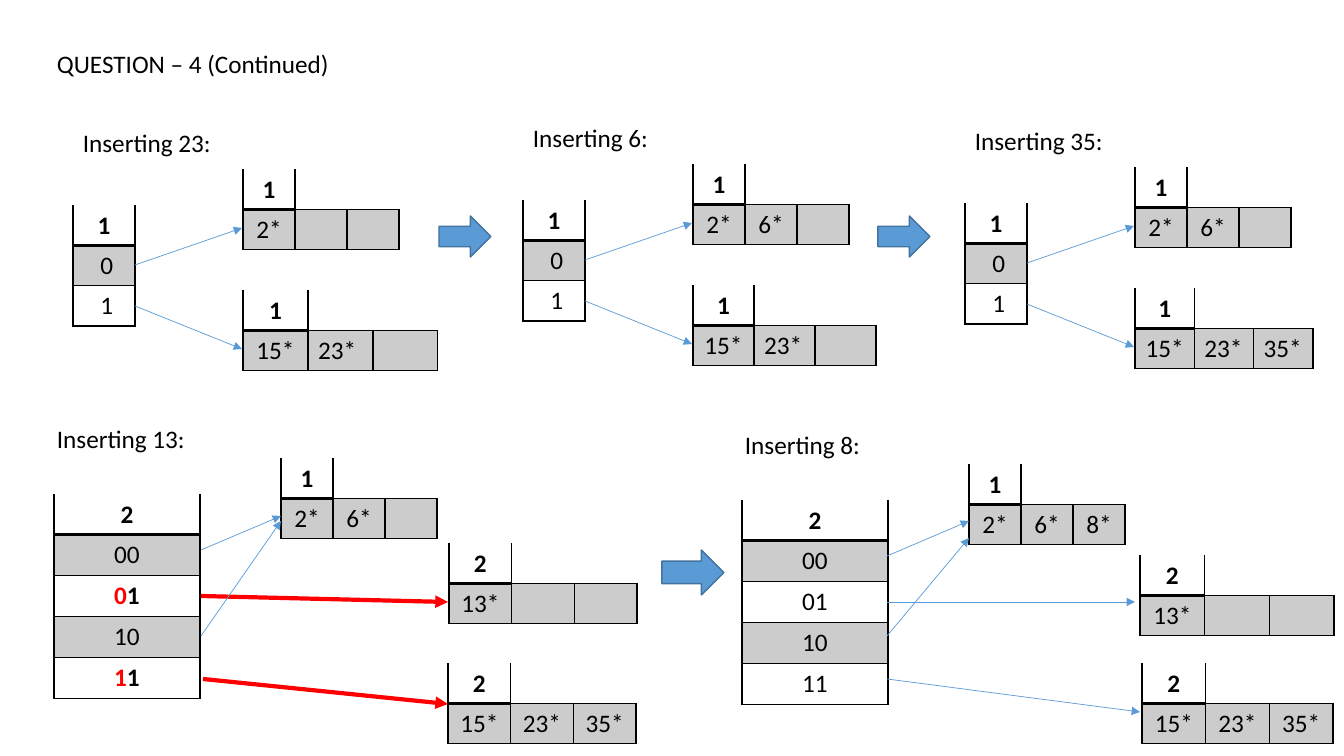
from dataclasses import dataclass
from typing import NamedTuple

from lxml.etree import SubElement as Sub
from pptx import Presentation as Deck
from pptx.dml.color import RGBColor as Rgb
from pptx.enum.shapes import MSO_CONNECTOR as Conn, MSO_SHAPE as Kind
from pptx.enum.text import PP_ALIGN as Align
from pptx.oxml.ns import qn
from pptx.util import Pt

SCALE = 12192000 / 1344  # EMU per pixel
ROW = 40
COLORS = {"ink": "000000", "gray": "CCCCCC", "blue": "5B9BD5",
          "edge": "43739E", "red": "FF0000"}


class Run(NamedTuple):
    text: str
    bold: bool = False
    color: str = "ink"


class Label(NamedTuple):
    text: str
    x: int
    y: int
    width: int
    wrap: bool = False


class Link(NamedTuple):
    x1: int
    y1: int
    x2: int
    y2: int
    color: str = "blue"
    weight: float = 0.5


class Block(NamedTuple):
    x: int
    y: int
    width: int
    height: int


@dataclass
class Grid:
    x: int
    y: int
    width: int
    depth: str
    rows: list[list[list[Run]]]
    step: int = ROW
    left: bool = False  # left-align all but the first column


def px(count: float) -> int:
    return round(count * SCALE)


def rgb(name: str) -> Rgb:
    return Rgb.from_string(COLORS[name])


def folder(x: int, y: int, width: int, depth: str, keys: list[list[Run]],
           step: int = ROW) -> Grid:
    return Grid(x, y, width, depth, [[key] for key in keys], step)


def bucket(x: int, y: int, width: int, depth: str, items: str,
           left: bool = False) -> Grid:
    cells = [[Run(item)] for item in items.split()]
    cells += [[] for _ in range(3 - len(cells))]
    return Grid(x, y, width, depth, [cells], left=left)


def write(para, runs: list[Run]) -> None:
    for part in runs:
        run = para.add_run()
        run.text = part.text
        font = run.font
        font.name, font.size, font.bold = "Calibri", Pt(18), part.bold
        font.color.rgb = rgb(part.color)


def add_label(label: Label) -> None:
    box = shapes.add_textbox(px(label.x), px(label.y), px(label.width), px(ROW))
    box.text_frame.word_wrap = label.wrap
    write(box.text_frame.paragraphs[0], [Run(label.text)])


def set_edges(cell, widths: tuple[int, int, int, int]) -> None:
    props = cell._tc.get_or_add_tcPr()
    for spot, (side, width) in enumerate(zip("LRTB", widths)):
        line = Sub(props, qn(f"a:ln{side}"), w=str(Pt(width)))
        if width:
            fill = Sub(line, qn("a:solidFill"))
            Sub(fill, qn("a:srgbClr"), val=COLORS["ink"])
        else:
            Sub(line, qn("a:noFill"))
        props.insert(spot, line)


def add_grid(grid: Grid) -> None:
    count = len(grid.rows[0])
    head = [[Run(grid.depth, True)]] + [[] for _ in range(count - 1)]
    rows = [head] + grid.rows
    table = shapes.add_table(len(rows), count, px(grid.x), px(grid.y),
                             px(grid.width),
                             px(ROW + grid.step * len(grid.rows))).table
    table.first_row = table.horz_banding = False
    for col in table.columns:
        col.width = px(grid.width / count)
    for r, row in enumerate(rows):
        table.rows[r].height = px(grid.step if r else ROW)
        for c, runs in enumerate(row):
            cell = table.cell(r, c)
            para = cell.text_frame.paragraphs[0]
            para.alignment = Align.LEFT if grid.left and c else Align.CENTER
            write(para, runs)
            if r % 2:
                cell.fill.solid()
                cell.fill.fore_color.rgb = rgb("gray")
            else:
                cell.fill.background()
            # The depth cell has a heavy base and an open top
            base = 1 if c else 2
            if r:
                set_edges(cell, (1, 1, base if r == 1 else 1, 1))
            else:
                set_edges(cell, (int(c < 2), int(c == 0), 0, base))


def add_link(link: Link) -> None:
    line = shapes.add_connector(Conn.STRAIGHT, px(link.x1), px(link.y1),
                                px(link.x2), px(link.y2))
    line.line.color.rgb = rgb(link.color)
    line.line.width = Pt(link.weight)
    Sub(line.line._get_or_add_ln(), qn("a:tailEnd"), type="triangle")
    Sub(line._element.spPr, qn("a:effectLst"))


def add_block(block: Block) -> None:
    arrow = shapes.add_shape(Kind.RIGHT_ARROW, *map(px, block))
    arrow.shadow.inherit = False
    arrow.fill.solid()
    arrow.fill.fore_color.rgb = rgb("blue")
    arrow.line.color.rgb = rgb("edge")
    arrow.line.width = Pt(1)


deck = Deck()
deck.slide_width, deck.slide_height = px(1344), px(756)
shapes = deck.slides.add_slide(deck.slide_layouts[6]).shapes

labels = [Label("QUESTION – 4 (Continued)", 47, 43, 1251, True)]
grids: list[Grid] = []
links: list[Link] = []

# Top row: one layout, shifted for each step
for key, x, y, low, wide, high in [
        ("23", 73, 205, "2*", 195, "15* 23*"),
        ("6", 523, 200, "2* 6*", 183, "15* 23*"),
        ("35", 965, 203, "2* 6*", 178, "15* 23* 35*")]:
    labels.append(Label(f"Inserting {key}:", x, y - 83, 150))
    grids += [folder(x, y, 62, "1", [[Run(" 0")], [Run(" 1")]]),
              bucket(x + 170, y - 36, 156, "1", low),
              bucket(x + 170, y + 85, wide, "1", high, left=True)]
    links += [Link(x + 62, y + 60, x + 169, y + 23),
              Link(x + 62, y + 101, x + 169, y + 144)]

# Bottom row: folders of depth two
plain = [[Run(key)] for key in ("00", "01", "10", "11")]
split = [[Run("00")], [Run("0", True, "red"), Run("1", True)],
         [Run("10")], [Run("1", True, "red"), Run("1", True)]]
for key, x, y, keys, low in [("13", 54, 494, split, "2* 6*"),
                             ("8", 742, 500, plain, "2* 6* 8*")]:
    labels.append(Label(f"Inserting {key}:", x - 7, y - 76, 150))
    grids += [folder(x, y, 146, "2", keys, 41),
              bucket(x + 227, y - 36, 156, "1", low)]
grids += [bucket(449, 543, 188, "2", "13*"),
          bucket(448, 663, 188, "2", "15* 23* 35*"),
          bucket(1140, 555, 194, "2", "13*"),
          bucket(1142, 663, 191, "2", "15* 23* 35*")]
links += [Link(201, 550, 281, 516), Link(201, 596, 448, 602, "red", 3),
          Link(203, 679, 448, 704, "red", 3), Link(201, 636, 281, 521),
          Link(887, 556, 969, 521), Link(887, 602, 1135, 602),
          Link(887, 679, 1140, 712), Link(887, 636, 969, 538)]

# Arrows between steps
blocks = [Block(439, 216, 52, 41), Block(878, 216, 52, 41),
          Block(662, 550, 62, 45)]

for draw, parts in [(add_label, labels), (add_grid, grids),
                    (add_link, links), (add_block, blocks)]:
    for part in parts:
        draw(part)

deck.save("out.pptx")
